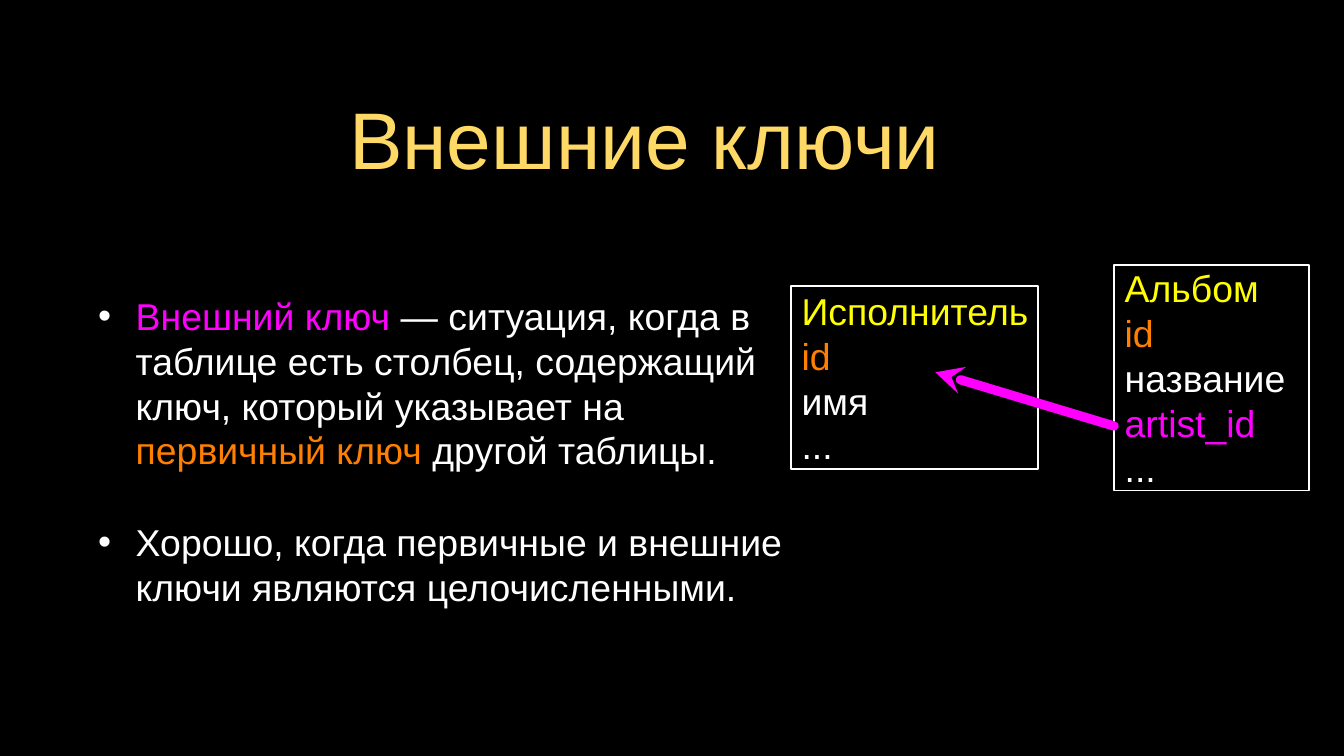
from lxml.etree import SubElement
from pptx import Presentation
from pptx.dml.color import RGBColor
from pptx.enum.shapes import MSO_CONNECTOR, MSO_SHAPE
from pptx.enum.text import MSO_ANCHOR, PP_ALIGN
from pptx.oxml.ns import qn
from pptx.util import Inches, Pt

COLORS = {"background": "000000", "title": "FFD966", "text": "FFFFFF",
          "table": "FFFF00", "primary": "FF7F00", "foreign": "FF00FF"}

presentation = Presentation()
presentation.slide_width = Inches(10)
presentation.slide_height = Inches(10) * 9 // 16
column = presentation.slide_width / 100
row = presentation.slide_height / 100

slide = presentation.slides.add_slide(presentation.slide_layouts[1])
slide.background.fill.solid()
slide.background.fill.fore_color.rgb = RGBColor.from_string(COLORS["background"])


def place(shape, area, inset_left, inset):
    left, top, width, height = area
    position = {"left": left * column, "top": top * row,
                "width": width * column, "height": height * row}
    for name, value in position.items():
        setattr(shape, name, round(value))
    frame_format = {"margin_left": Inches(inset_left), "margin_right": Inches(inset),
                    "margin_top": Inches(inset), "margin_bottom": Inches(inset),
                    "vertical_anchor": MSO_ANCHOR.MIDDLE, "word_wrap": True}
    for name, value in frame_format.items():
        setattr(shape.text_frame, name, value)


def write(text_frame, index, runs, size, **paragraph_format):
    paragraph = text_frame.paragraphs[0] if index == 0 else text_frame.add_paragraph()
    defaults = {"alignment": PP_ALIGN.LEFT, "line_spacing": 1.0,
                "space_before": Pt(0), "space_after": Pt(0)}
    for name, value in (defaults | paragraph_format).items():
        setattr(paragraph, name, value)
    for text, color in runs:
        run = paragraph.add_run()
        run.text = text
        for name, value in {"name": "Arial", "size": Pt(size), "bold": False}.items():
            setattr(run.font, name, value)
        run.font.color.rgb = RGBColor.from_string(COLORS[color])
    return paragraph


title = slide.shapes.title
place(title, (7.1, 8.53, 81.7, 19.2), 0.02, 0.02)
write(title.text_frame, 0, [("Внешние ключи", "title")], 43, alignment=PP_ALIGN.CENTER)

body = slide.placeholders[1]
place(body, (7.1, 28.44, 51.8, 62.4), 0.02, 0.02)
bullets = [
    ([("Внешний ключ ", "foreign"),
      ("— ситуация, когда в таблице есть столбец, содержащий ключ, который указывает на ", "text"),
      ("первичный ключ ", "primary"),
      ("другой таблицы.", "text")], {}),
    ([("Хорошо, когда первичные и внешние ключи являются целочисленными.", "text")],
     {"space_before": Pt(25), "space_after": Pt(6)}),
]
for index, (runs, spacing) in enumerate(bullets):
    paragraph = write(body.text_frame, index, runs, 20, **spacing)
    properties = paragraph._p.get_or_add_pPr()
    properties.set("marL", str(Inches(0.28)))
    properties.set("indent", str(-Inches(0.28)))
    bullet_color = SubElement(properties, qn("a:buClr"))
    SubElement(bullet_color, qn("a:srgbClr"), val=COLORS["text"])
    SubElement(properties, qn("a:buChar"), char="•")

tables = [
    ((58.85, 37.87, 18.4, 24.18),
     [("Исполнитель", "table"), ("id", "primary"), ("имя", "text"), ("...", "text")]),
    ((82.88, 35.02, 14.5, 29.87),
     [("Альбом", "table"), ("id", "primary"), ("название", "text"),
      ("artist_id", "foreign"), ("...", "text")]),
]
for area, fields in tables:
    box = slide.shapes.add_shape(MSO_SHAPE.RECTANGLE, 0, 0, 0, 0)
    place(box, area, 0.08, 0)
    box.shadow.inherit = False
    box.fill.background()
    box.line.color.rgb = RGBColor.from_string(COLORS["text"])
    box.line.width = Pt(1)
    for index, field in enumerate(fields):
        write(box.text_frame, index, [field], 20)

arrow = slide.shapes.add_connector(
    MSO_CONNECTOR.STRAIGHT, round(69.6 * column), round(49.24 * row),
    round(82.9 * column), round(56.36 * row))
arrow.line.color.rgb = RGBColor.from_string(COLORS["foreign"])
arrow.line.width = Pt(5)
arrow_properties = arrow._element.spPr
arrow_line = arrow_properties.find(qn("a:ln"))
arrow_line.set("cap", "rnd")
SubElement(arrow_line, qn("a:round"))
SubElement(arrow_line, qn("a:headEnd"), type="stealth")
SubElement(arrow_properties, qn("a:effectLst"))

presentation.save("out.pptx")
